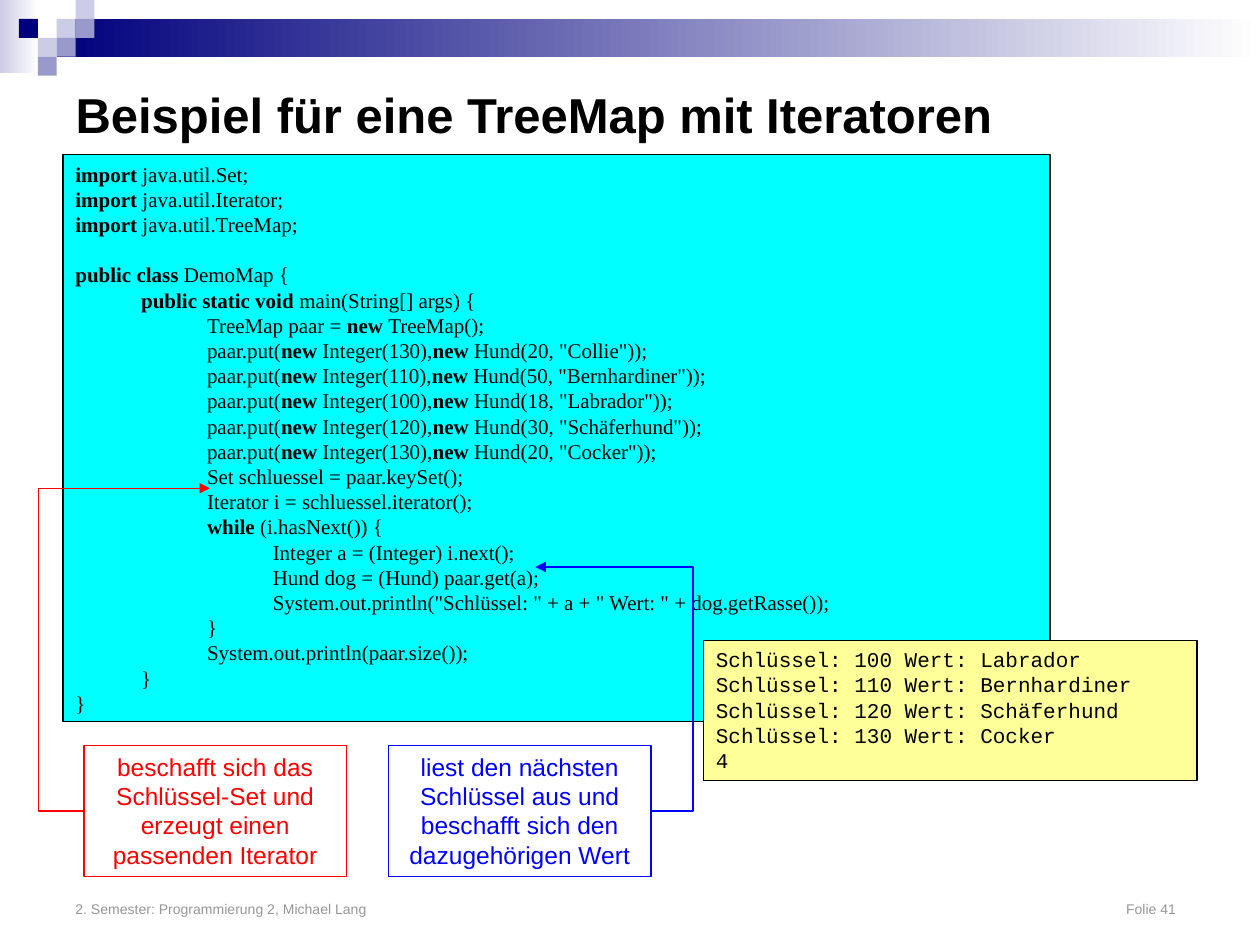
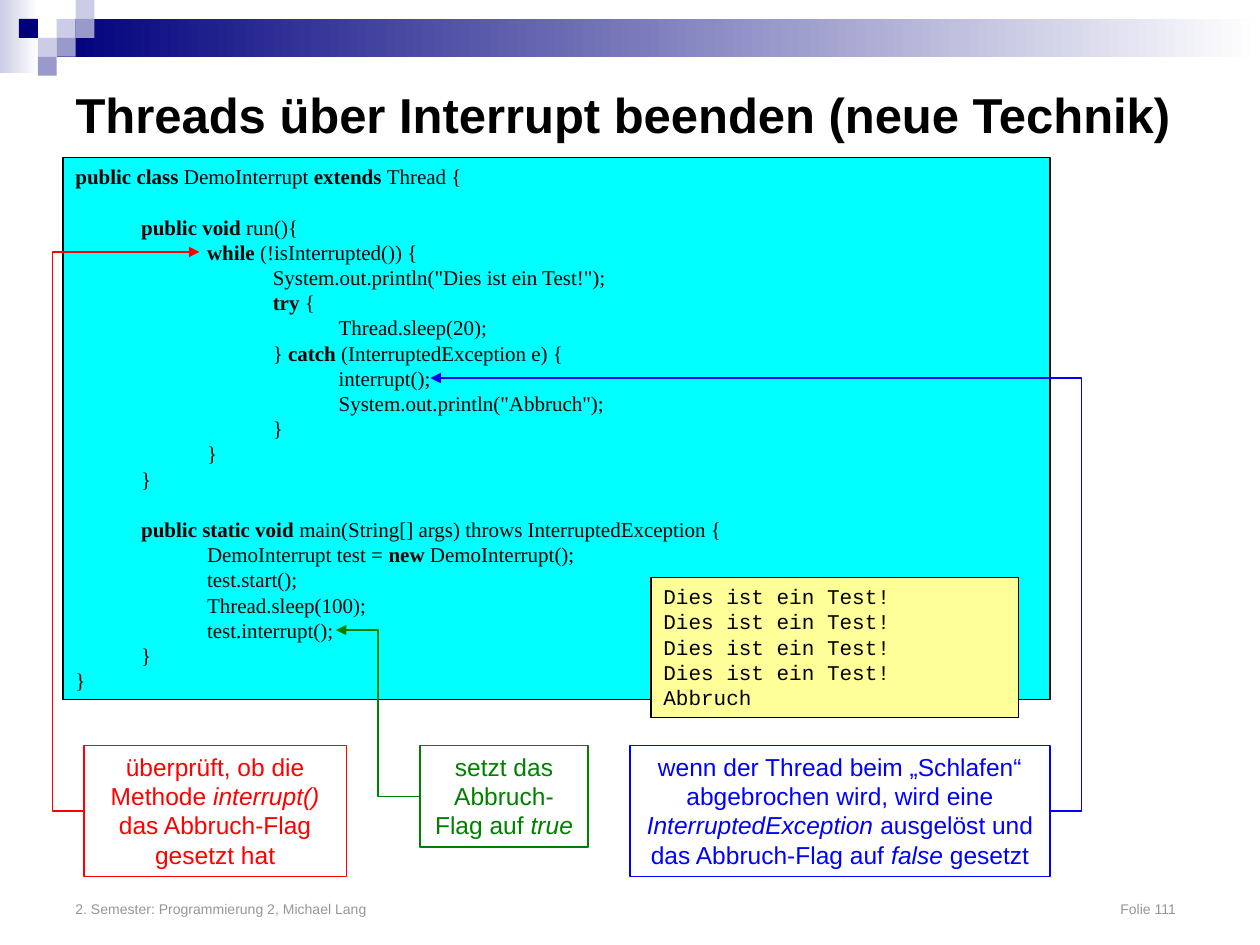
import pptx
import pptx.dml.color
import pptx.enum.dml
import pptx.enum.shapes
import pptx.enum.text
import pptx.oxml
import pptx.oxml.ns
import pptx.util
from lxml import etree

Pt = pptx.util.Pt
RECTANGLE = pptx.enum.shapes.MSO_SHAPE.RECTANGLE
ALIGN = pptx.enum.text.PP_ALIGN
ANCHOR = pptx.enum.text.MSO_ANCHOR
LEFT_SIDE, RIGHT_SIDE = 1, 3

COLORS = {
    "navy": "00007D", "lavender": "CCCCE6", "violet": "9999CC",
    "white": "FFFFFF", "black": "000000", "grey": "969696",
    "cyan": "00FFFF", "yellow": "FFFF99",
    "red": "FF0000", "blue": "0000FF", "green": "008000",
}
COLORS = {name: pptx.dml.color.RGBColor.from_string(value) for name, value in COLORS.items()}

# Code lines: four spaces are one tab, *...* marks emphasis, "" is a gap
TREE_MAP_CODE = [
    '*import* java.util.Set;',
    '*import *java.util.Iterator;',
    '*import *java.util.TreeMap;',
    '',
    '*public class *DemoMap {',
    '    *public static void *main(String[] args) {',
    '        TreeMap paar = *new *TreeMap();',
    '        paar.put(*new *Integer(130),*new* Hund(20, "Collie"));',
    '        paar.put(*new* Integer(110),*new* Hund(50, "Bernhardiner"));',
    '        paar.put(*new* Integer(100),*new* Hund(18, "Labrador"));',
    '        paar.put(*new* Integer(120),*new* Hund(30, "Schäferhund"));',
    '        paar.put(*new* Integer(130),*new* Hund(20, "Cocker"));',
    '        Set schluessel = paar.keySet();',
    '        Iterator i = schluessel.iterator();',
    '        *while *(i.hasNext()) {',
    '            Integer a = (Integer) i.next();',
    '            Hund dog = (Hund) paar.get(a);',
    '            System.out.println("Schlüssel: " + a + " Wert: " + dog.getRasse());',
    '        }',
    '        System.out.println(paar.size());',
    '    }',
    '}',
]

INTERRUPT_CODE = [
    '*public class *DemoInterrupt *extends *Thread {',
    '',
    '    *public void *run(){',
    '        *while *(!isInterrupted()) {',
    '            System.out.println("Dies ist ein Test!");',
    '            *try *{',
    '                Thread.sleep(20);',
    '            } *catch* (InterruptedException e) {',
    '                interrupt();',
    '                System.out.println("Abbruch");',
    '            }',
    '        }',
    '    }',
    '',
    '    *public static void *main(String[] args) throws InterruptedException {',
    '        DemoInterrupt test = *new *DemoInterrupt();',
    '        test.start();',
    '        Thread.sleep(100);',
    '        test.interrupt();',
    '    }',
    '}',
]

TREE_MAP_OUTPUT = [
    "Schlüssel: 100 Wert: Labrador",
    "Schlüssel: 110 Wert: Bernhardiner",
    "Schlüssel: 120 Wert: Schäferhund",
    "Schlüssel: 130 Wert: Cocker",
    "4",
]
INTERRUPT_OUTPUT = ["Dies ist ein Test!"] * 4 + ["Abbruch"]

# Callouts: colour, box, text, side the arrow leaves, x of its bend, arrow tip
SLIDES = [
    {
        "title": "Beispiel für eine TreeMap mit Iteratoren", "number": 41,
        "code": TREE_MAP_CODE, "code_box": (36, 88.5, 564, 324),
        "output": TREE_MAP_OUTPUT, "output_box": (402, 366, 282, 80),
        "callouts": [
            ("blue", (222, 426, 150, 75),
             "liest den nächsten Schlüssel aus und beschafft sich den dazugehörigen Wert",
             RIGHT_SIDE, 396, (306, 324)),
            ("red", (48, 426, 150, 75),
             "beschafft sich das Schlüssel-Set und erzeugt einen passenden Iterator",
             LEFT_SIDE, 22, (120, 279)),
        ],
    },
    {
        "title": "Threads über Interrupt beenden (neue Technik)", "number": 111,
        "code": INTERRUPT_CODE, "code_box": (36, 90, 564, 309.6),
        "output": INTERRUPT_OUTPUT, "output_box": (372, 330, 210, 80),
        "callouts": [
            ("blue", (360, 426, 240, 75),
             "wenn der Thread beim „Schlafen“ abgebrochen wird, wird eine "
             "*InterruptedException* ausgelöst und das Abbruch-Flag auf *false* gesetzt",
             RIGHT_SIDE, 618, (246, 216)),
            ("red", (48, 426, 150, 75),
             "überprüft, ob die Methode *interrupt()* das Abbruch-Flag gesetzt hat",
             LEFT_SIDE, 30, (114, 144)),
            ("green", (240, 426, 96, 58),
             "setzt das Abbruch-Flag auf *true*",
             LEFT_SIDE, 216, (192, 360)),
        ],
    },
]


def set_tabs(para, stops, align="l"):
    properties = para._p.get_or_add_pPr()
    tab_list = etree.SubElement(properties, pptx.oxml.ns.qn("a:tabLst"))
    for stop in stops:
        etree.SubElement(tab_list, pptx.oxml.ns.qn("a:tab"), pos=str(Pt(stop)), algn=align)


def add_text_box(page, place, lines, font, size, color="black", fill=None,
                 align=ALIGN.LEFT, emphasis="bold"):
    box = page.shapes.add_shape(RECTANGLE, *map(Pt, place))
    box.shadow.inherit = False
    box.line.color.rgb = COLORS[color]
    box.line.width = Pt(0.75)
    if fill:
        box.fill.solid()
        box.fill.fore_color.rgb = COLORS[fill]
    else:
        box.fill.background()
    frame = box.text_frame
    frame.word_wrap = True
    frame.vertical_anchor = ANCHOR.TOP
    line_height = 1.2 * size
    gap = 0
    para = frame.paragraphs[0]
    for number, line in enumerate(lines):
        if not line:
            gap = line_height
            continue
        if number:
            para = frame.add_paragraph()
        para.alignment = align
        para.line_spacing = Pt(line_height)
        para.space_before = Pt(gap)
        gap = 0
        set_tabs(para, [37.6 * step for step in range(1, 5)])
        for index, part in enumerate(line.replace("    ", "\t").split("*")):
            if part:
                span = para.add_run()
                span.text = part
                span.font.name = font
                span.font.size = Pt(size)
                span.font.color.rgb = COLORS[color]
                setattr(span.font, emphasis, index % 2 == 1)
    return box


deck = pptx.Presentation()
deck.slide_width, deck.slide_height = Pt(720), Pt(540)
title_only = deck.slide_layouts[5]
pages = [deck.slides.add_slide(title_only) for _ in SLIDES]

# Header band and mosaic, drawn once and moved to the slide master
header = [
    ((0, 0, 22, 42), ("lavender", "white")),
    ((32.4, 10.8, 687.6, 21.6), ("navy", "white")),
]
TILE = 10.8
for column, row, color in [
    (3, 1, "lavender"), (4, 0, "lavender"), (4, 1, "violet"), (2, 2, "lavender"),
    (1, 1, "navy"), (3, 2, "violet"), (2, 3, "violet"),
]:
    header.append(((column * TILE, row * TILE, TILE, TILE), (color,)))
master_tree = deck.slide_master.shapes.element
for index, (place, colors) in enumerate(header):
    tile = pages[0].shapes.add_shape(RECTANGLE, *map(Pt, place))
    tile.shadow.inherit = False
    tile.line.fill.background()
    if len(colors) == 2:
        tile.fill.gradient()
        tile.fill.gradient_angle = 0
        for stop, color in zip(tile.fill.gradient_stops, colors):
            stop.color.rgb = COLORS[color]
    else:
        tile.fill.solid()
        tile.fill.fore_color.rgb = COLORS[colors[0]]
    tile.element.nvSpPr.cNvPr.set("id", str(100 + index))
    master_tree.insert(2 + index, tile.element)

for page, content in zip(pages, SLIDES):
    # Title
    title = page.shapes.title
    title.left, title.top, title.width, title.height = map(Pt, (36, 36, 648, 58))
    title.text_frame.text = content["title"]
    title.text_frame.auto_size = pptx.enum.text.MSO_AUTO_SIZE.NONE
    title.text_frame.vertical_anchor = ANCHOR.MIDDLE
    para = title.text_frame.paragraphs[0]
    para.alignment = ALIGN.LEFT
    font = para.runs[0].font
    font.name, font.size, font.bold = "Arial", Pt(28), True
    font.color.rgb = COLORS["black"]

    # Footer with right-aligned slide number
    footer = page.shapes.add_textbox(*map(Pt, (36, 492, 648, 36)))
    footer.text_frame.word_wrap = True
    footer.text_frame.vertical_anchor = ANCHOR.BOTTOM
    para = footer.text_frame.paragraphs[0]
    para.text = f"2. Semester: Programmierung 2, Michael Lang\tFolie {content['number']}"
    set_tabs(para, [629], "r")
    font = para.runs[0].font
    font.name, font.size = "Arial", Pt(8)
    font.color.rgb = COLORS["grey"]

    # Code and console output
    add_text_box(page, content["code_box"], content["code"], "Times New Roman", 12, fill="cyan")
    add_text_box(page, content["output_box"], content["output"], "Courier New", 12, fill="yellow")

    # Callouts and their bent arrows
    for color, place, text, side, bend, (tip_x, tip_y) in content["callouts"]:
        callout = add_text_box(page, place, [text], "Arial", 14, color,
                               align=ALIGN.CENTER, emphasis="italic")
        left, top, width, height = place
        start_x = left + width if side == RIGHT_SIDE else left
        arrow = page.shapes.add_connector(
            pptx.enum.shapes.MSO_CONNECTOR.ELBOW,
            Pt(start_x), Pt(top + height / 2), Pt(tip_x), Pt(tip_y))
        arrow.begin_connect(callout, side)
        arrow.line.color.rgb = COLORS[color]
        arrow.line.width = Pt(0.75)
        properties = arrow._element.spPr
        adjust = round(100000 * (bend - start_x) / (tip_x - start_x))
        guides = properties.prstGeom.get_or_add_avLst()
        etree.SubElement(guides, pptx.oxml.ns.qn("a:gd"), name="adj1", fmla=f"val {adjust}")
        etree.SubElement(arrow.line._get_or_add_ln(), pptx.oxml.ns.qn("a:tailEnd"), type="triangle")
        etree.SubElement(properties, pptx.oxml.ns.qn("a:effectLst"))

deck.save("out.pptx")
